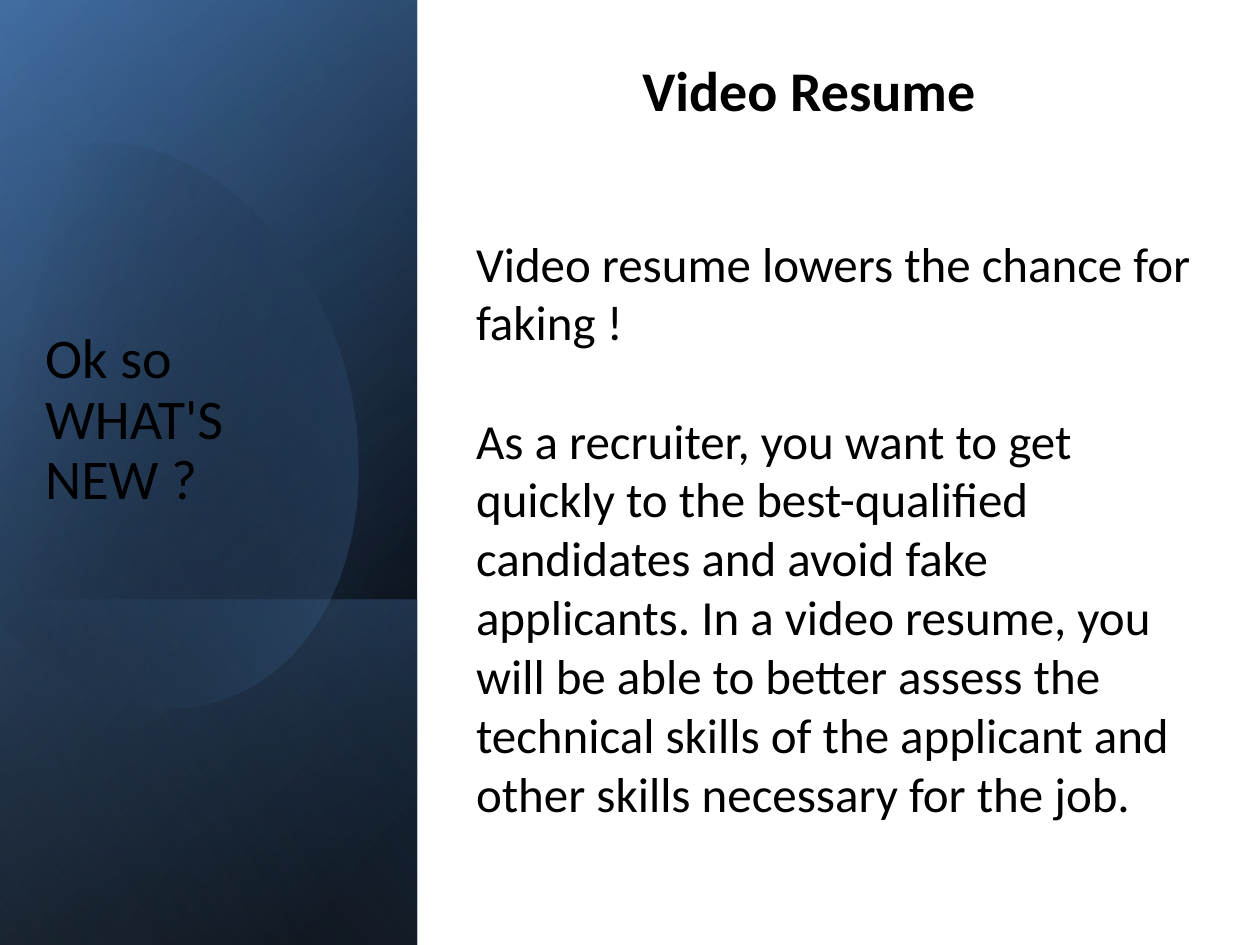
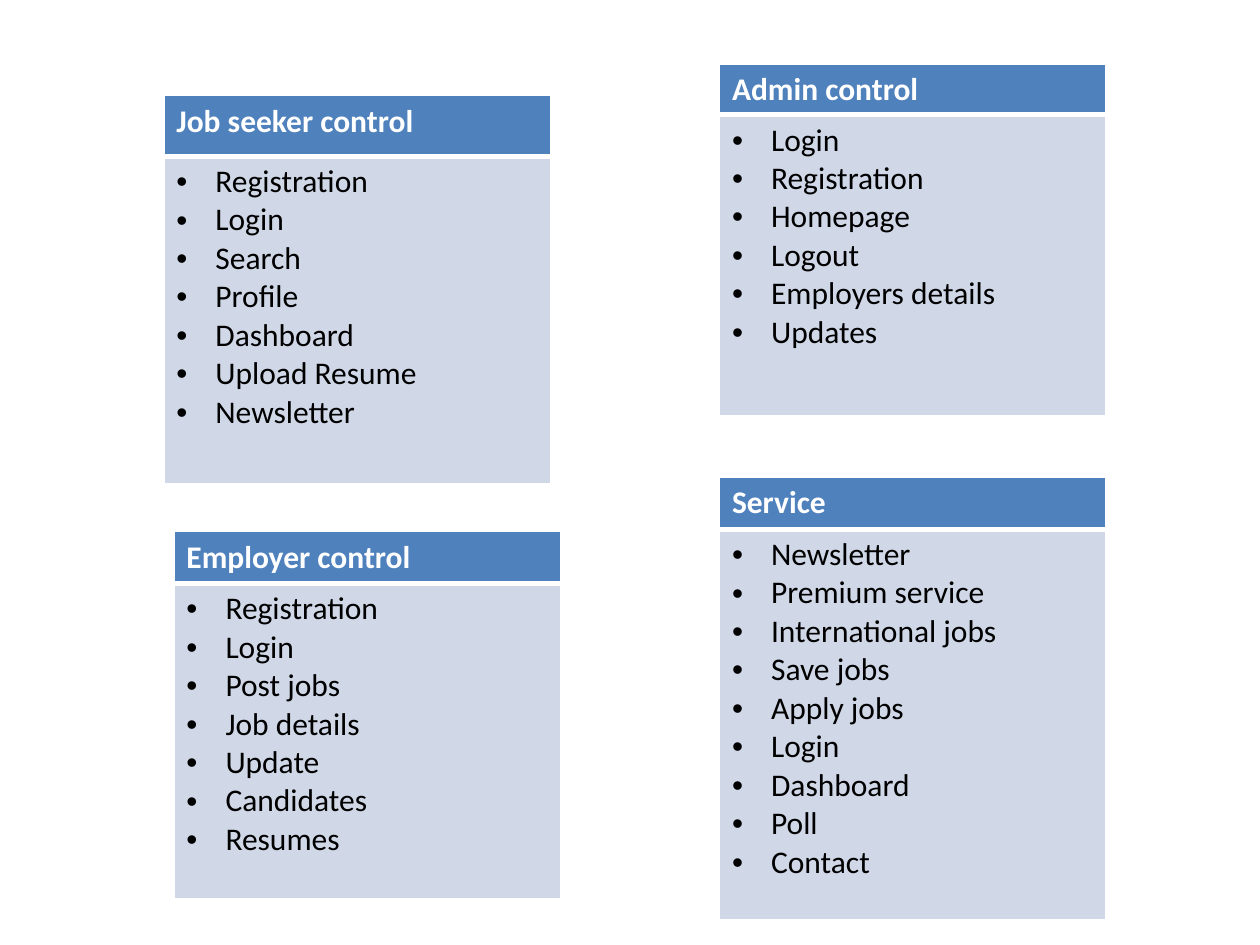
import math
from lxml import etree
from pptx import Presentation
from pptx import util as u
from pptx.dml.color import RGBColor
from pptx.enum import shapes, text
from pptx.oxml import parse_xml
from pptx.oxml.ns import nsdecls, qn

FONT = "Calibri"
BLACK, WHITE, BLUE, PALE = "000000", "FFFFFF", "4F81BD", "D0D8E8"

deck = Presentation()
deck.slide_width, deck.slide_height = u.Inches(10), u.Inches(7.5)
COL, ROW = deck.slide_width / 10, deck.slide_height / 7.5
blank = deck.slide_layouts[6]


def write(para, words, size, color=BLACK, bold=False):
    run = para.add_run()
    run.text = words
    run.font.name, run.font.size, run.font.bold = FONT, u.Pt(size), bold
    run.font.color.rgb = RGBColor.from_string(color)


def shade(shape, stops, angle):
    """Fill with (position, colour, opacity) stops, all in percent, and drop the line and shadow."""
    shape.shadow.inherit = False
    shape.line.fill.background()
    marks = "".join(
        f'<a:gs pos="{pos * 1000}"><a:srgbClr val="{color}"><a:alpha val="{alpha * 1000}"/></a:srgbClr></a:gs>'
        for pos, color, alpha in stops)
    grad = parse_xml(f'<a:gradFill {nsdecls("a")} rotWithShape="1"><a:gsLst>{marks}</a:gsLst>'
                     f'<a:lin ang="{angle * 60000}" scaled="0"/></a:gradFill>')
    props = shape._element.spPr
    props.find(qn("a:ln")).addprevious(grad)


# Slide 1: dark side panel with text
slide = deck.slides.add_slide(blank)
back = slide.shapes.add_shape(shapes.MSO_SHAPE.RECTANGLE, 0, 0, deck.slide_width, deck.slide_height)
back.shadow.inherit = False
back.fill.solid()
back.fill.fore_color.rgb = RGBColor.from_string(WHITE)
back.line.fill.background()

# Each layer: top row, height in rows, stops, angle
layers = [
    (0, 7.5, [(8, BLACK, 100), (100, "376092", 100)], 50),
    (0, 7.5, [(0, BLACK, 0), (99, BLUE, 46)], 30),
    (4.76, 2.74, [(2, BLUE, 29), (100, BLACK, 30)], 130),
    "drop",
    (0, 7.5, [(0, BLACK, 0), (99, "95B3D7", 11)], 120),
]
WIDE = 3.31
TURN = 16.1
MID = (1.19, 3.345)
start = (0.96, 1.14)
curves = [
    [(1.71, 1.22), (2.44, 1.92), (2.73, 2.9)],
    [(3.07, 4.12), (2.62, 5.31), (1.71, 5.57)],
    [(1.14, 5.74), (0.53, 5.5), (0.07, 5)],
    [(-0.03, 4.88)],
    [(-0.25, 1.66)],
    [(-0.15, 1.54)],
    [(0.02, 1.37), (0.22, 1.25), (0.45, 1.18)],
    [(0.62, 1.13), (0.79, 1.12), start],
]

for layer in layers:
    if layer == "drop":
        dots = [start]
        for curve in curves:
            if len(curve) == 1:
                dots += curve
                continue
            ends = [dots[-1], *curve]
            for step in range(1, 17):
                t = step / 16
                parts = [math.comb(3, i) * t**i * (1 - t)**(3 - i) for i in range(4)]
                dots.append(tuple(sum(p * end[k] for p, end in zip(parts, ends)) for k in (0, 1)))
        # Turn the outline upright, so that the shape's own rotation sets it back
        cos, sin = math.cos(math.radians(TURN)), math.sin(math.radians(TURN))
        spots = []
        for x, y in dots:
            dx, dy = x - MID[0], y - MID[1]
            spots.append((round((MID[0] + dx * cos - dy * sin) * COL),
                          round((MID[1] + dx * sin + dy * cos) * ROW)))
        pen = slide.shapes.build_freeform(*spots[0], scale=1.0)
        pen.add_line_segments(spots[1:], close=True)
        drop = pen.convert_to_shape()
        drop.rotation = 360 - TURN
        shade(drop, [(29, BLACK, 0), (100, BLUE, 43)], 30)
        continue
    top, tall, stops, angle = layer
    # A quarter turn swaps width and height around the same centre
    panel = slide.shapes.add_shape(
        shapes.MSO_SHAPE.RECTANGLE, round((WIDE - tall) / 2 * COL),
        round((top + (tall - WIDE) / 2) * ROW), round(tall * COL), round(WIDE * ROW))
    panel.rotation = 90
    panel._element.spPr.find(qn("a:xfrm")).set("flipH", "1")
    shade(panel, stops, angle)

# Each box: place, size, bold, paragraphs
boxes = [
    ((0.26, 1.93, 1.85, 2.82), 32, False, ["Ok so WHAT'S NEW ?"]),
    ((5, 0.39, 3, 0.64), 32, True, ["Video Resume"]),
    ((3.68, 1.8, 5.99, 4.81), 28, False, [
        "Video resume lowers the chance for faking !",
        "As a recruiter, you want to get quickly to the best-qualified candidates and avoid fake "
        "applicants. In a video resume, you will be able to better assess the technical skills of "
        "the applicant and other skills necessary for the job."]),
]
frames = []
for (x, y, w, h), size, bold, lines in boxes:
    frame = slide.shapes.add_textbox(round(x * COL), round(y * ROW), round(w * COL), round(h * ROW)).text_frame
    frame.word_wrap = True
    for i, line in enumerate(lines):
        para = frame.add_paragraph() if i else frame.paragraphs[0]
        if i:
            para.space_before = u.Pt(34)
        write(para, line, size, bold=bold)
    frames.append(frame)
side = frames[0]
side.vertical_anchor = text.MSO_ANCHOR.MIDDLE
side.paragraphs[0].line_spacing = 0.9
side.paragraphs[0].space_after = u.Pt(6)

# Slide 2: four one-column tables
slide = deck.slides.add_slide(blank)
SPAN = 3.07
# Each table: left, top, head height, body height, head, items
cards = [
    (1.3, 0.76, 0.48, 2.6, "Job seeker control",
     ["Registration", "Login", "Search", "Profile", "Dashboard", "Upload Resume", "Newsletter"]),
    (5.71, 0.51, 0.4, 2.39, "Admin control",
     ["Login", "Registration", "Homepage", "Logout", "Employers details", "Updates"]),
    (1.38, 4.22, 0.41, 2.5, "Employer control",
     ["Registration", "Login", "Post jobs", "Job details", "Update", "Candidates", "Resumes"]),
    (5.71, 3.79, 0.41, 3.1, "Service",
     ["Newsletter", "Premium service", "International jobs", "Save jobs", "Apply jobs",
      "Login", "Dashboard", "Poll", "Contact"]),
]
for x, y, cap, body, head, items in cards:
    table = slide.shapes.add_table(2, 1, round(x * COL), round(y * ROW),
                                   round(SPAN * COL), round((cap + body) * ROW)).table
    for row, tall in enumerate((cap, body)):
        table.rows[row].height = round(tall * ROW)
        cell = table.cell(row, 0)
        props = cell._tc.get_or_add_tcPr()
        for edge in "LRTB":
            seam = (row, edge) in [(0, "B"), (1, "T")]
            props.append(parse_xml(
                f'<a:ln{edge} {nsdecls("a")} w="{u.Pt(3 if seam else 1)}"><a:solidFill>'
                f'<a:srgbClr val="{WHITE}"/></a:solidFill></a:ln{edge}>'))
        cell.fill.solid()
        cell.fill.fore_color.rgb = RGBColor.from_string(PALE if row else BLUE)
    write(table.cell(0, 0).text_frame.paragraphs[0], head, 18, WHITE, True)
    frame = table.cell(1, 0).text_frame
    for i, item in enumerate(items):
        para = frame.add_paragraph() if i else frame.paragraphs[0]
        props = para._p.get_or_add_pPr()
        props.set("marL", str(u.Inches(0.31)))
        props.set("indent", str(-u.Inches(0.31)))
        etree.SubElement(props, qn("a:buFont")).set("typeface", "Arial")
        etree.SubElement(props, qn("a:buChar")).set("char", "•")
        write(para, item, 18)

deck.save("out.pptx")
